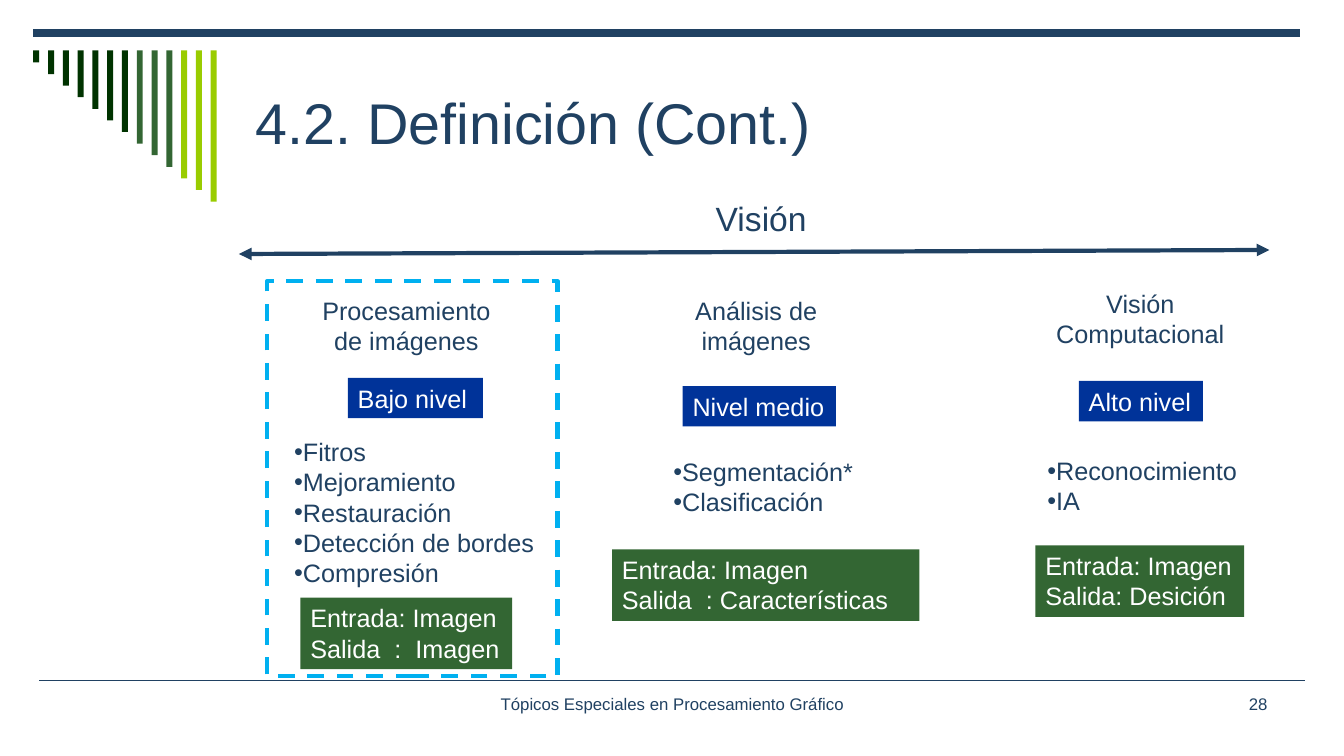
"""Builds the slide on the levels of computer vision: low, middle and high."""
from lxml import etree
from pptx import Presentation, util as u
from pptx.dml.color import RGBColor
from pptx.enum import dml, shapes, text
from pptx.oxml.ns import qn

NAVY, BLUE, GREEN, WHITE = "204162", "003399", "336633", "FFFFFF"
LEFT, CENTER, RIGHT = text.PP_ALIGN.LEFT, text.PP_ALIGN.CENTER, text.PP_ALIGN.RIGHT

deck = Presentation()
deck.slide_width, deck.slide_height = u.Inches(13.33), u.Inches(7.5)
slide = deck.slides.add_slide(deck.slide_layouts[6])


def rgb(value):
    return RGBColor.from_string(value)


def add_block(place, lines=(), fill=None, size=18, color=NAVY, align=LEFT, bullet=False,
              anchor=text.MSO_ANCHOR.TOP):
    box = tuple(u.Inches(length) for length in place)
    if fill:
        block = slide.shapes.add_shape(shapes.MSO_SHAPE.RECTANGLE, *box)
        block.shadow.inherit = False
        block.fill.solid()
        block.fill.fore_color.rgb = rgb(fill)
        block.line.fill.background()
    else:
        block = slide.shapes.add_textbox(*box)
    frame = block.text_frame
    layout = {"word_wrap": True, "vertical_anchor": anchor, "margin_right": u.Inches(0.05 if align == LEFT else 0.1)}
    for name, value in layout.items():
        setattr(frame, name, value)
    for index, line in enumerate(lines):
        paragraph = frame.add_paragraph() if index else frame.paragraphs[0]
        paragraph.text = line
        paragraph.alignment = align
        if bullet:
            marks = paragraph._p.get_or_add_pPr()
            etree.SubElement(marks, qn("a:buFont")).set("typeface", "Arial")
            etree.SubElement(marks, qn("a:buChar")).set("char", "•")
        for run in paragraph.runs:
            for name, value in {"size": u.Pt(size), "name": "Arial"}.items():
                setattr(run.font, name, value)
            run.font.color.rgb = rgb(color)


rules = [
    ((0.39, 6.75, 12.94, 6.75), 1, False),
    ((0.33, 0.33, 12.89, 0.33), 6, False),
    ((2.37, 2.52, 12.59, 2.48), 3, True),
]
for ends, weight, arrows in rules:
    rule = slide.shapes.add_connector(shapes.MSO_CONNECTOR.STRAIGHT, *(u.Inches(end) for end in ends))
    rule.line.width = u.Pt(weight)
    rule.line.color.rgb = rgb(NAVY)
    if arrows:
        for tip in ("a:headEnd", "a:tailEnd"):
            etree.SubElement(rule.line._get_or_add_ln(), qn(tip)).set("type", "triangle")
    etree.SubElement(rule._element.spPr, qn("a:effectLst"))

bar_colors = ["003300"] * 7 + [GREEN] * 3 + ["99CC00"] * 3
for index, bar_color in enumerate(bar_colors):
    add_block((0.33 + index * 1.76 / 12, 0.5, 0.06, 0.12 + index * 0.115), fill=bar_color)

add_block((2.44, 0.5, 10.22, 1.42), ["4.2. Definición (Cont.)"], size=41, anchor=text.MSO_ANCHOR.MIDDLE)
add_block((4.56, 6.83, 4.22, 0.5), ["Tópicos Especiales en Procesamiento Gráfico"], size=12, align=CENTER)
add_block((9.56, 6.83, 3.11, 0.5), ["28"], size=12, align=RIGHT)
add_block((7, 1.91, 1.11, 0.5), ["Visión"], size=24)

stages = [
    ((3.09, 2.88, 1.88, 0.71), "Procesamiento\vde imágenes",
     (3.45, 3.75, 1.34, 0.4), "Bajo nivel",
     (2.82, 4.28, 2.6, 1.62),
     ["Fitros", "Mejoramiento", "Restauración", "Detección de bordes", "Compresión"],
     (2.98, 5.93, 2.1, 0.71), ["Entrada: Imagen", "Salida  :  Imagen"]),
    ((6.22, 2.88, 2.56, 0.71), "Análisis de\vimágenes",
     (6.77, 3.83, 1.52, 0.4), "Nivel medio",
     (6.58, 4.48, 2, 1.01), ["Segmentación*", "Clasificación"],
     (6.07, 5.45, 3.05, 0.71), ["Entrada: Imagen", "Salida  : Características"]),
    ((10.09, 2.81, 2.44, 0.71), "Visión\vComputacional",
     (10.7, 3.78, 1.23, 0.4), "Alto nivel",
     (10.29, 4.47, 2.1, 0.71), ["Reconocimiento", "IA"],
     (10.27, 5.41, 2.07, 0.71), ["Entrada: Imagen", "Salida: Desición"]),
]
for stage_at, stage, level_at, level, tasks_at, tasks, flow_at, flow in stages:
    add_block(stage_at, [stage], align=CENTER)
    add_block(level_at, [level], fill=BLUE, color=WHITE)
    add_block(tasks_at, tasks, bullet=True)
    add_block(flow_at, flow, fill=GREEN, color=WHITE)

focus = slide.shapes.add_shape(shapes.MSO_SHAPE.RECTANGLE, *(u.Inches(side) for side in (2.65, 2.79, 2.88, 3.92)))
focus.shadow.inherit = False
focus.fill.background()
focus.line.color.rgb = rgb("00B0F0")
for name, value in {"width": u.Pt(3), "dash_style": dml.MSO_LINE.DASH}.items():
    setattr(focus.line, name, value)

deck.save("out.pptx")
